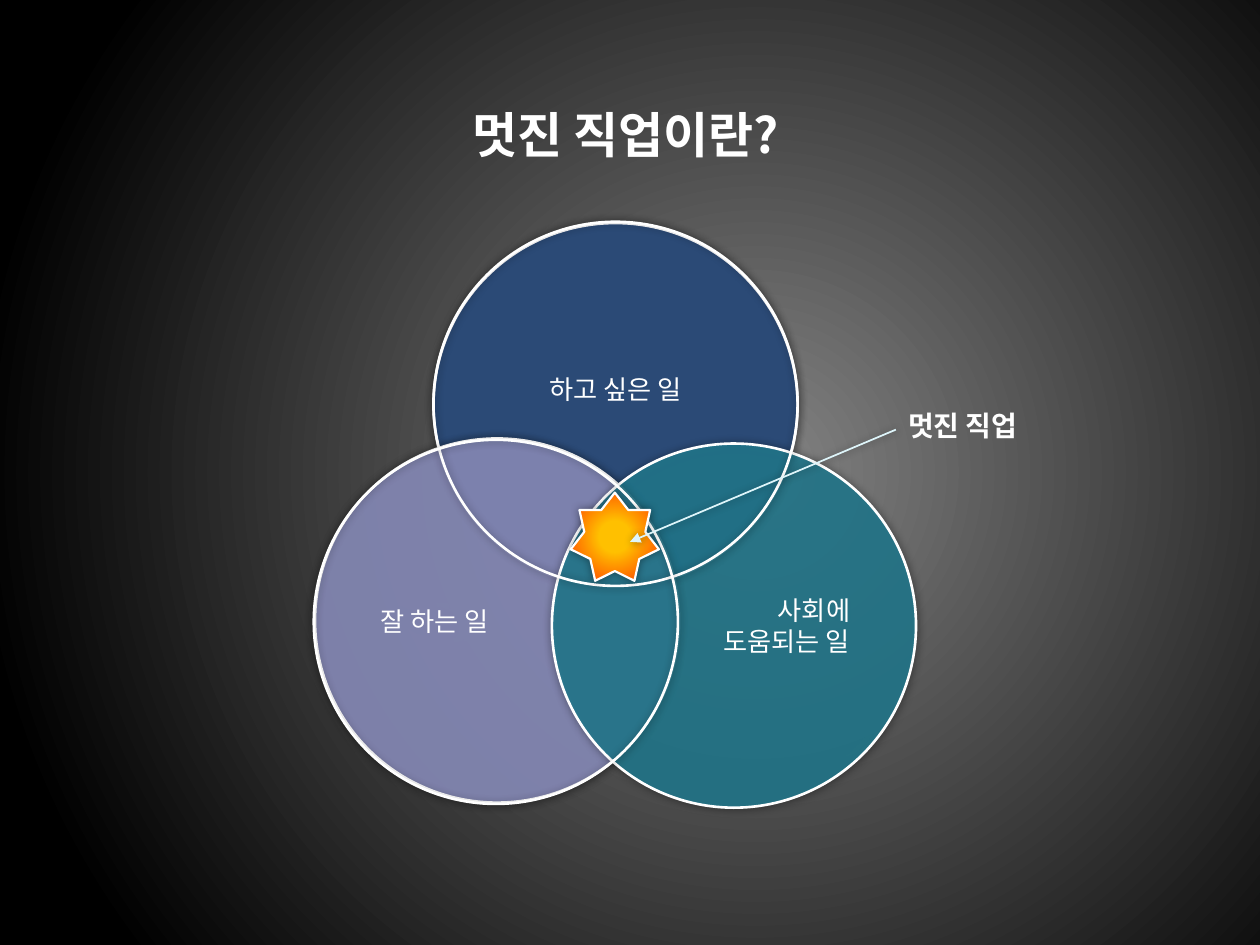
from lxml.etree import SubElement
from pptx import Presentation
from pptx.dml.color import RGBColor
from pptx.enum.shapes import MSO_CONNECTOR, MSO_SHAPE as Shape
from pptx.enum.text import MSO_ANCHOR as Anchor, MSO_AUTO_SIZE as AutoSize, PP_ALIGN as Align
from pptx.oxml.ns import qn
from pptx.util import Emu, Pt

FONT = "Noto Sans CJK KR"
WHITE = "FFFFFF"
DIAMETER = 289
CIRCLES = [
    (95, 1, "2B4A76", 100, ["하고 싶은 일"], Align.CENTER, 31),
    (1, 172, "878BB8", 90, ["잘 하는 일"], Align.LEFT, 5),
    (189, 176, "227A8F", 85, ["사회에", "도움되는 일"], Align.RIGHT, 5),
]
RINGS = [(95, 0), (0, 173)]


def px(length):
    return Emu(length * 9144)


def color(value):
    return RGBColor.from_string(value)


def add_radial_fill(fill, owner, stops, center):
    fill.gradient()
    for stop, (position, value) in zip(fill.gradient_stops, stops):
        stop.position = position
        stop.color.rgb = color(value)
    gradient = next(owner.iter(qn("a:gradFill")))
    gradient.remove(gradient.find(qn("a:lin")))
    circle = SubElement(gradient, qn("a:path"), path="circle")
    x, y = center
    SubElement(circle, qn("a:fillToRect"), l=str(x * 1000), t=str(y * 1000),
               r=str((100 - x) * 1000), b=str((100 - y) * 1000))


def add_shadow(shape):
    effects = SubElement(shape.element.spPr, qn("a:effectLst"))
    shadow = SubElement(effects, qn("a:outerShdw"), blurRad=str(Pt(5)), dist="0",
                        dir="0", algn="ctr", rotWithShape="0")
    SubElement(SubElement(shadow, qn("a:srgbClr"), val="000000"), qn("a:alpha"), val="40000")


def set_line(shape, value, width):
    shape.line.color.rgb = color(value)
    shape.line.width = Pt(width)
    add_shadow(shape)


def write_text(frame, lines, size, align, bold=False):
    frame.word_wrap = True
    frame.text = "\n".join(lines)
    for para in frame.paragraphs:
        para.alignment = align
        font = para.font
        font.name, font.size, font.bold = FONT, Pt(size), bold
        font.color.rgb = color(WHITE)
        SubElement(para._p.pPr.find(qn("a:defRPr")), qn("a:ea"), typeface=FONT)


def add_label(page, box, text, size, align):
    label = page.shapes.add_textbox(*map(px, box))
    write_text(label.text_frame, [text], size, align, bold=True)
    label.text_frame.auto_size = AutoSize.SHAPE_TO_FIT_TEXT


def add_circle(page, left, top):
    return page.shapes.add_shape(Shape.OVAL, px(left), px(top), px(DIAMETER), px(DIAMETER))


def add_venn(page, left, top):
    for x, y, value, opacity, lines, align, bottom in CIRCLES:
        circle = add_circle(page, left + x, top + y)
        circle.fill.solid()
        circle.fill.fore_color.rgb = color(value)
        if opacity < 100:
            tint = next(circle.element.spPr.iter(qn("a:srgbClr")))
            SubElement(tint, qn("a:alpha"), val=str(opacity * 1000))
        set_line(circle, WHITE, 1.5)
        frame = circle.text_frame
        write_text(frame, lines, 15, align)
        frame.vertical_anchor = Anchor.MIDDLE
        frame.margin_bottom = px(bottom)
    for x, y in RINGS:
        ring = add_circle(page, left + x, top + y)
        ring.fill.background()
        set_line(ring, WHITE, 1.5)


def add_callout(page, left, top):
    star = page.shapes.add_shape(Shape.STAR_7_POINT, px(left), px(top + 72), px(70), px(70))
    add_radial_fill(star.fill, star.element, [(0.25, "FFC000"), (0.73, "FF6600")], (50, 50))
    set_line(star, WHITE, 1.25)
    add_label(page, (left + 258, top, 141, 37), "멋진 직업", 16, Align.LEFT)
    arrow = page.shapes.add_connector(MSO_CONNECTOR.STRAIGHT, px(left + 258), px(top + 22),
                                      px(left + 47), px(top + 111))
    set_line(arrow, "DEF5FA", 1)
    SubElement(arrow.line._get_or_add_ln(), qn("a:tailEnd"), type="triangle")


def main():
    deck = Presentation()
    deck.slide_width, deck.slide_height = px(1000), px(750)
    page = deck.slides.add_slide(deck.slide_layouts[6])
    add_radial_fill(page.background.fill, page.element,
                    [(0, "848484"), (1, "000000")], (60, 50))
    add_label(page, (219, 78, 555, 57), "멋진 직업이란?", 28, Align.CENTER)
    add_venn(page, 249, 176)
    add_callout(page, 453, 319)
    deck.save("out.pptx")


if __name__ == "__main__":
    main()
